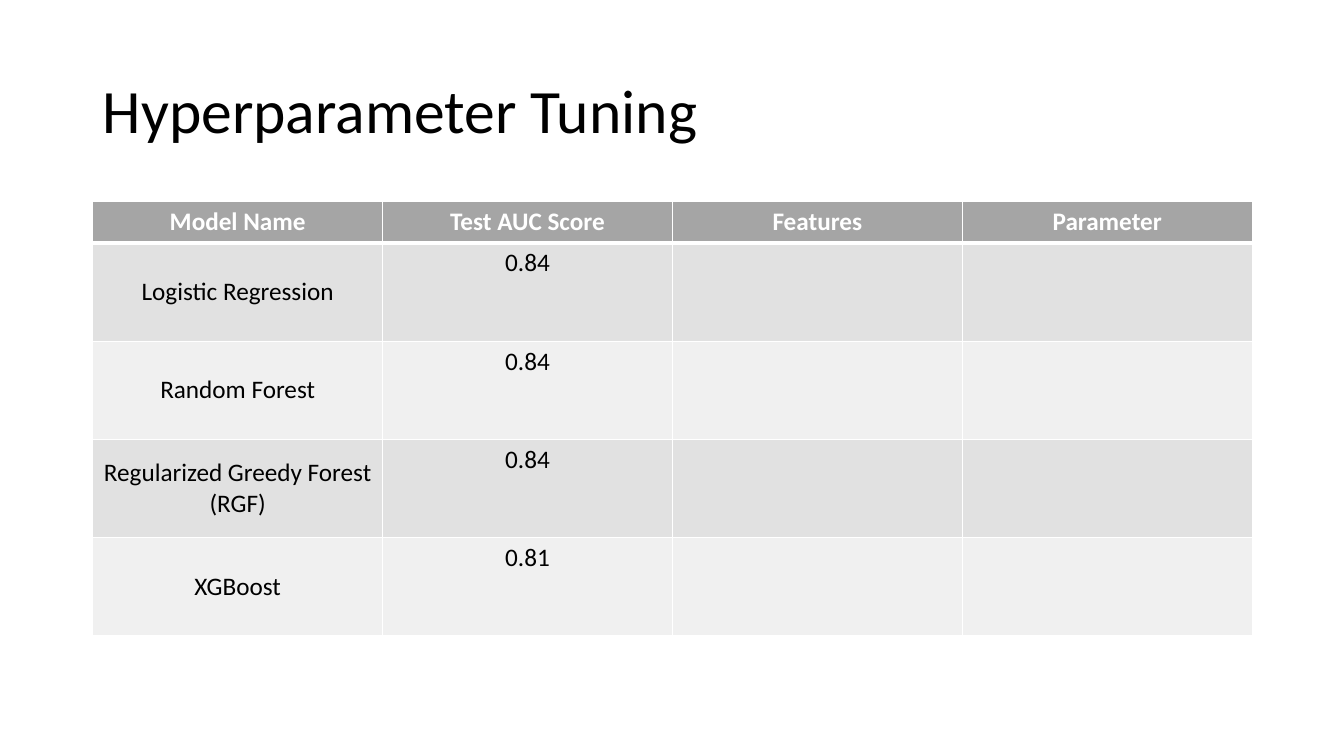
from lxml.etree import SubElement
from pptx import Presentation
from pptx.dml.color import RGBColor
from pptx.enum.text import MSO_ANCHOR as Anchor, PP_ALIGN as Align
from pptx.oxml.ns import qn
from pptx.util import Inches, Pt

TITLE = "Hyperparameter Tuning"
HEADERS = ["Model Name", "Test AUC Score", "Features", "Parameter"]
MODELS = [
    ("Logistic Regression", "0.84", "", ""),
    ("Random Forest", "0.84", "", ""),
    ("Regularized Greedy Forest (RGF)", "0.84", "", ""),
    ("XGBoost", "0.81", "", ""),
]
FONT = "Calibri"
BLACK, WHITE = "000000", "FFFFFF"
HEADER_FILL = "A5A5A5"
BAND_FILLS = ["E1E1E1", "F0F0F0"]
LEFT, WIDTH = 0.92, 11.5
TABLE_TOP, HEADER_HEIGHT, ROW_HEIGHT = 2, 0.41, 0.975


def rgb(value):
    return RGBColor.from_string(value)


def style_font(p, size, color, bold=False):
    p.font.name = FONT
    p.font.size = Pt(size)
    p.font.bold = bold
    p.font.color.rgb = rgb(color)


def add_border(cell, side, width):
    ln = SubElement(cell._tc.get_or_add_tcPr(), qn(f"a:{side}"), w=str(Pt(width)))
    fill = SubElement(ln, qn("a:solidFill"))
    SubElement(fill, qn("a:srgbClr"), val=WHITE)


def add_title(s):
    title = s.shapes.title
    title.left, title.top = Inches(LEFT), Inches(0.4)
    title.width, title.height = Inches(WIDTH), Inches(1.45)
    tf = title.text_frame
    tf.text = TITLE
    tf.word_wrap = True
    tf.vertical_anchor = Anchor.MIDDLE
    p = tf.paragraphs[0]
    p.alignment = Align.LEFT
    p.line_spacing = 0.9
    style_font(p, 44, BLACK)


def add_model_table(s):
    rows = [HEADERS, *MODELS]
    height = HEADER_HEIGHT + ROW_HEIGHT * len(MODELS)
    table = s.shapes.add_table(len(rows), len(HEADERS), Inches(LEFT), Inches(TABLE_TOP),
                               Inches(WIDTH), Inches(height)).table
    for i, row in enumerate(rows):
        header = i == 0
        table.rows[i].height = Inches(HEADER_HEIGHT if header else ROW_HEIGHT)
        for j, text in enumerate(row):
            cell = table.cell(i, j)
            cell.text = text
            p = cell.text_frame.paragraphs[0]
            p.alignment = Align.CENTER
            style_font(p, 18, WHITE if header else BLACK, header)
            if j == 0 and not header:
                cell.vertical_anchor = Anchor.MIDDLE
            for side in ("lnL", "lnR", "lnT", "lnB"):
                thick = (i, side) in [(0, "lnB"), (1, "lnT")]
                add_border(cell, side, 3 if thick else 1)
            cell.fill.solid()
            cell.fill.fore_color.rgb = rgb(HEADER_FILL if header else BAND_FILLS[(i - 1) % 2])


def main():
    prs = Presentation()
    prs.slide_width, prs.slide_height = Inches(13.33), Inches(7.5)
    s = prs.slides.add_slide(prs.slide_layouts[5])
    add_title(s)
    add_model_table(s)
    prs.save("out.pptx")


if __name__ == "__main__":
    main()
